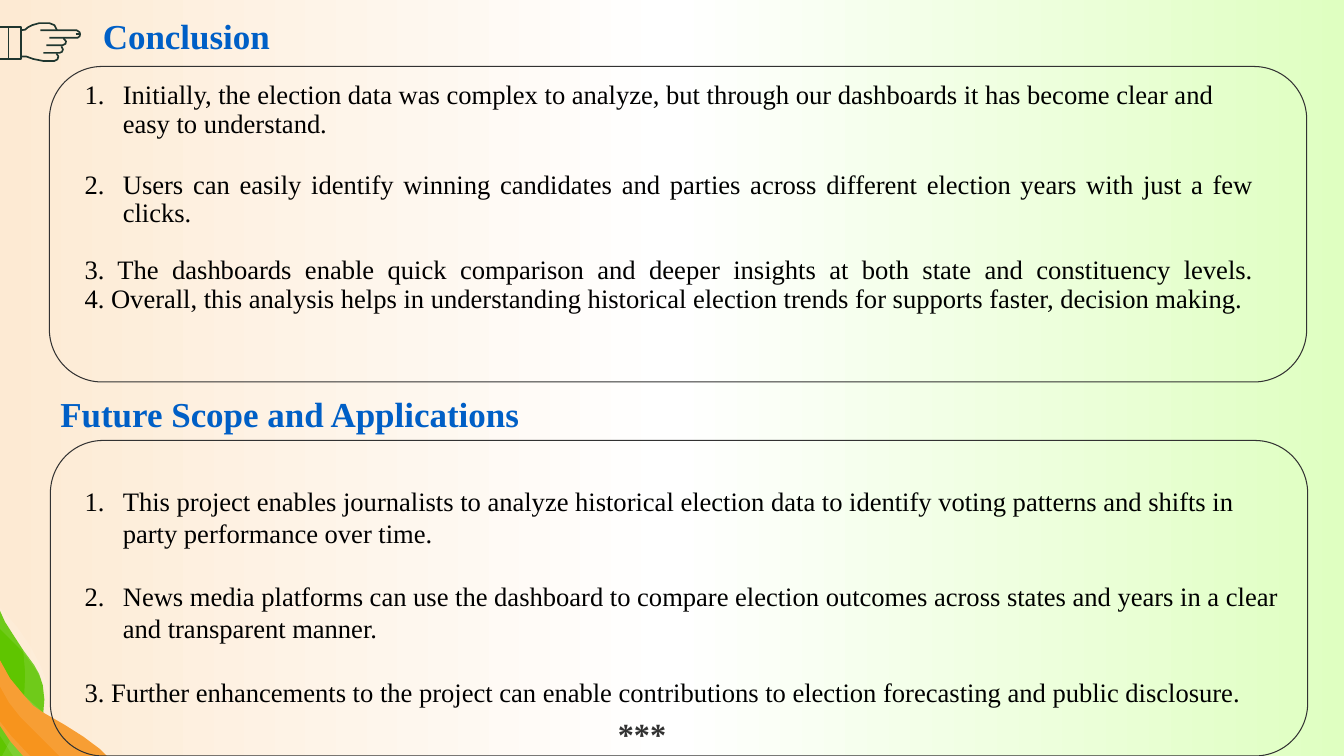
import pptx
import pptx.util
import pptx.dml.color
import pptx.enum.shapes
import pptx.enum.text
import pptx.oxml
import pptx.oxml.ns
from lxml import etree

WIDTH, HEIGHT = 13.33, 7.5
FONT = "Times New Roman"
BLUE, GREY, BLACK, INK = "005FC6", "323232", "000000", "1F362F"
ALIGN = pptx.enum.text.PP_ALIGN
Inches = pptx.util.Inches

CONCLUSIONS = [
    ("Initially, the election data was complex to analyze, but through our dashboards "
     "it has become clear and easy to understand.", True, ALIGN.LEFT, 0),
    ("Users can easily identify winning candidates and parties across different "
     "election years with just a few clicks.", True, ALIGN.JUSTIFY, 23),
    ("3. The dashboards enable quick comparison and deeper insights at both state and "
     "constituency levels.\v4. Overall, this analysis helps in understanding historical "
     "election trends for supports faster, decision making.", False, ALIGN.JUSTIFY, 20),
]
APPLICATIONS = [
    ("This project enables journalists to analyze historical election data to identify "
     "voting patterns and shifts in party performance over time.", True, ALIGN.LEFT, 0),
    ("News media platforms can use the dashboard to compare election outcomes across "
     "states and years in a clear and transparent manner.", True, ALIGN.LEFT, 22.5),
    ("3. Further enhancements to the project can enable contributions to election "
     "forecasting and public disclosure.", False, ALIGN.LEFT, 22.5),
]

HAND_GRID = (80, 40)
HAND_STROKES = [
    [(0, 5), (20.5, 5), (20.5, 36.5), (0, 36.5)],
    [(8.5, 5), (8.5, 36.5)],
    [(21, 8), (25, 7.5), (28, 5), (32, 3), (39, 1), (49, 1), (54, 3), (56.5, 8)],
    [(40, 8), (76, 8), (79, 10), (79.5, 12), (79, 14), (77, 15.5), (49, 15.5)],
    [(75, 12), (79, 12)],
    [(63, 16), (65.5, 19), (65, 21.5), (62, 23), (46, 23)],
    [(61, 24), (62.5, 27), (61.5, 29.5), (59, 30.5), (43, 30.5)],
    [(56, 31), (58, 34), (57, 37), (54, 38.5), (43, 38.5), (33, 36.5), (26, 34), (21, 34)],
]

LEAF_GRID = (106, 150)
LEAVES = [
    ("5FC500", 100, [(0, 6), (5, 17), (12, 28), (23, 45), (34, 60), (39, 69), (42.5, 80),
                     (44, 94), (43, 107), (38, 130), (30, 150), (0, 150)]),
    ("FFFFFF", 10, [(23, 45), (34, 60), (39, 69), (42.5, 80), (44, 94), (43, 107), (38, 130),
                    (30, 150), (2, 150), (12, 131), (20, 111), (24, 90), (25, 68)]),
    ("F7941D", 100, [(0, 55), (10, 73), (24, 90), (33, 100), (43, 107), (64, 119), (83, 131),
                     (99, 143), (106, 150), (23, 150), (10, 135), (0, 120)]),
    ("FFFFFF", 10, [(0, 55), (10, 73), (24, 90), (43, 107), (64, 119), (83, 131), (99, 143),
                    (106, 150), (59, 150), (38, 129), (20, 111), (9, 97), (0, 81)]),
    ("FFFFFF", 10, [(0, 116), (11, 130), (26, 146), (30, 150), (13, 150), (4, 136), (0, 130)]),
    ("FFFFFF", 10, [(0, 3), (17, 22), (30, 41), (41, 62), (49, 84), (52, 106), (46, 85),
                    (36, 65), (23, 47), (7, 31), (0, 24)]),
]


def color(value):
    """Return the colour for a hex string."""
    return pptx.dml.color.RGBColor.from_string(value)


def place(shape, box):
    """Move and size a shape to a box given in inches."""
    shape.left, shape.top, shape.width, shape.height = map(Inches, box)


def paint_background(slide, stops):
    """Fill the slide with a left-to-right gradient."""
    fill = slide.background.fill
    fill.gradient()
    fill.gradient_angle = 0
    stop_list = slide.background._cSld.find(".//" + pptx.oxml.ns.qn("a:gsLst"))
    for stop in list(stop_list):
        stop_list.remove(stop)
    for position, value in stops:
        stop = etree.SubElement(stop_list, pptx.oxml.ns.qn("a:gs"), pos=str(position * 1000))
        etree.SubElement(stop, pptx.oxml.ns.qn("a:srgbClr"), val=value)


def add_outline(slide, box, grid, points, close):
    """Draw points of a grid that spans the box."""
    left, top, width, height = box
    spots = [(Inches(left + x * width / grid[0]), Inches(top + y * height / grid[1]))
             for x, y in points]
    builder = slide.shapes.build_freeform(*spots[0])
    builder.add_line_segments(spots[1:], close=close)
    shape = builder.convert_to_shape()
    shape.shadow.inherit = False
    return shape


def add_hand(slide, box):
    """Draw the pointing hand with strokes."""
    for points in HAND_STROKES:
        stroke = add_outline(slide, box, HAND_GRID, points, False)
        stroke.fill.background()
        stroke.line.color.rgb = color(INK)
        stroke.line.width = pptx.util.Pt(1.2)


def add_leaves(slide, box):
    """Draw the corner leaves and their pale highlights."""
    for value, opacity, points in LEAVES:
        leaf = add_outline(slide, box, LEAF_GRID, points, True)
        leaf.line.fill.background()
        leaf.fill.solid()
        leaf.fill.fore_color.rgb = color(value)
        if opacity < 100:
            tint = leaf._element.spPr.find(".//" + pptx.oxml.ns.qn("a:srgbClr"))
            etree.SubElement(tint, pptx.oxml.ns.qn("a:alpha"), val=str(opacity * 1000))


def set_heading(shape, box, text, size, value):
    """Write a bold one-line heading in the box."""
    place(shape, box)
    frame = shape.text_frame
    frame.text = text
    frame.word_wrap = True
    frame.auto_size = pptx.enum.text.MSO_AUTO_SIZE.NONE
    frame.vertical_anchor = pptx.enum.text.MSO_ANCHOR.MIDDLE
    paragraph = frame.paragraphs[0]
    paragraph.alignment = ALIGN.LEFT
    paragraph.line_spacing = 0.9
    format_runs(paragraph, size, value, True)


def format_runs(paragraph, size, value, bold=False):
    """Set the font of every run in a paragraph."""
    for run in paragraph.runs:
        run.font.name = FONT
        run.font.size = pptx.util.Pt(size)
        run.font.bold = bold
        run.font.color.rgb = color(value)


def add_panel(slide, box):
    """Draw a rounded frame."""
    panel = slide.shapes.add_shape(
        pptx.enum.shapes.MSO_SHAPE.ROUNDED_RECTANGLE, *map(Inches, box))
    panel.adjustments[0] = 0.167
    panel.shadow.inherit = False
    panel.fill.background()
    panel.line.color.rgb = color(GREY)
    panel.line.width = pptx.util.Pt(0.75)


def add_points(slide, box, points, line_spacing):
    """Write the numbered statements in the box."""
    frame = slide.shapes.add_textbox(*map(Inches, box)).text_frame
    frame.word_wrap = True
    frame.margin_left = frame.margin_right = Inches(0.1)
    frame.margin_top = frame.margin_bottom = Inches(0.1)
    for index, (text, numbered, alignment, gap) in enumerate(points):
        paragraph = frame.add_paragraph() if index else frame.paragraphs[0]
        paragraph.text = text
        properties = paragraph._p.get_or_add_pPr()
        properties.set("marL", str(Inches(0.5 if numbered else 0.12)))
        properties.set("indent", str(Inches(-0.38 if numbered else 0)))
        if numbered:
            etree.SubElement(properties, pptx.oxml.ns.qn("a:buAutoNum"), type="arabicPeriod")
        paragraph.alignment = alignment
        paragraph.line_spacing = line_spacing
        if gap:
            paragraph.space_before = pptx.util.Pt(gap)
        format_runs(paragraph, 19, BLACK)


def main():
    """Build the closing slide and save it."""
    presentation = pptx.Presentation()
    presentation.slide_width = Inches(WIDTH)
    presentation.slide_height = Inches(HEIGHT)
    slide = presentation.slides.add_slide(presentation.slide_layouts[5])
    paint_background(slide, [(0, "FDEAD3"), (50, "FFFFFF"), (100, "DFFFC1")])
    add_hand(slide, (0, 0.22, 0.8, 0.4))
    add_leaves(slide, (0, 6, 1.06, 1.5))
    set_heading(slide.shapes.title, (0.92, 0.14, 12.33, 0.48), "Conclusion", 25, BLUE)
    add_panel(slide, (0.49, 0.66, 12.47, 3.13))
    add_points(slide, (0.62, 0.71, 11.91, 2.5), CONCLUSIONS, 0.9)
    set_heading(slide.shapes.add_textbox(0, 0, 0, 0), (0.5, 3.89, 12.33, 0.48),
                "Future Scope and Applications", 25, BLUE)
    add_panel(slide, (0.5, 4.37, 12.47, 3.13))
    add_points(slide, (0.62, 4.71, 12.21, 2.44), APPLICATIONS, 1.0)
    set_heading(slide.shapes.add_textbox(0, 0, 0, 0), (6.03, 7.11, 1, 0.38), "***", 23, GREY)
    presentation.save("out.pptx")


if __name__ == "__main__":
    main()
